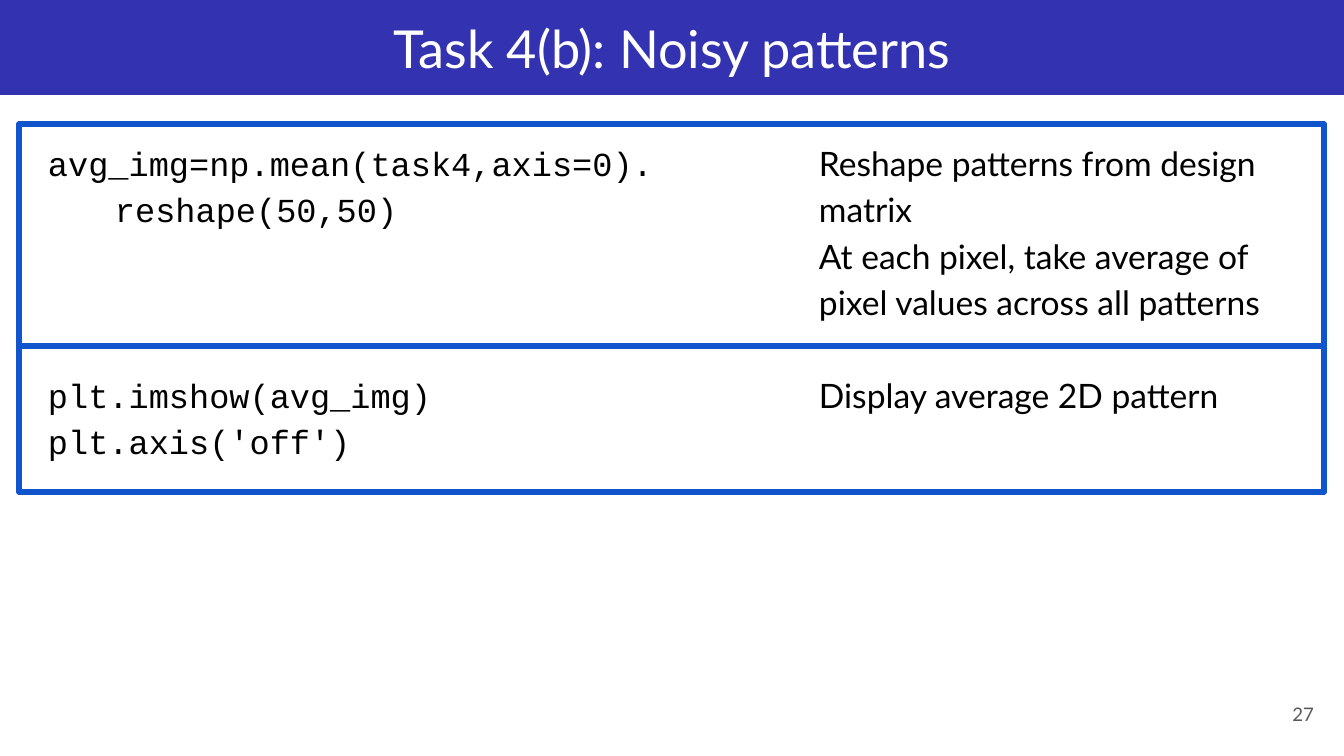
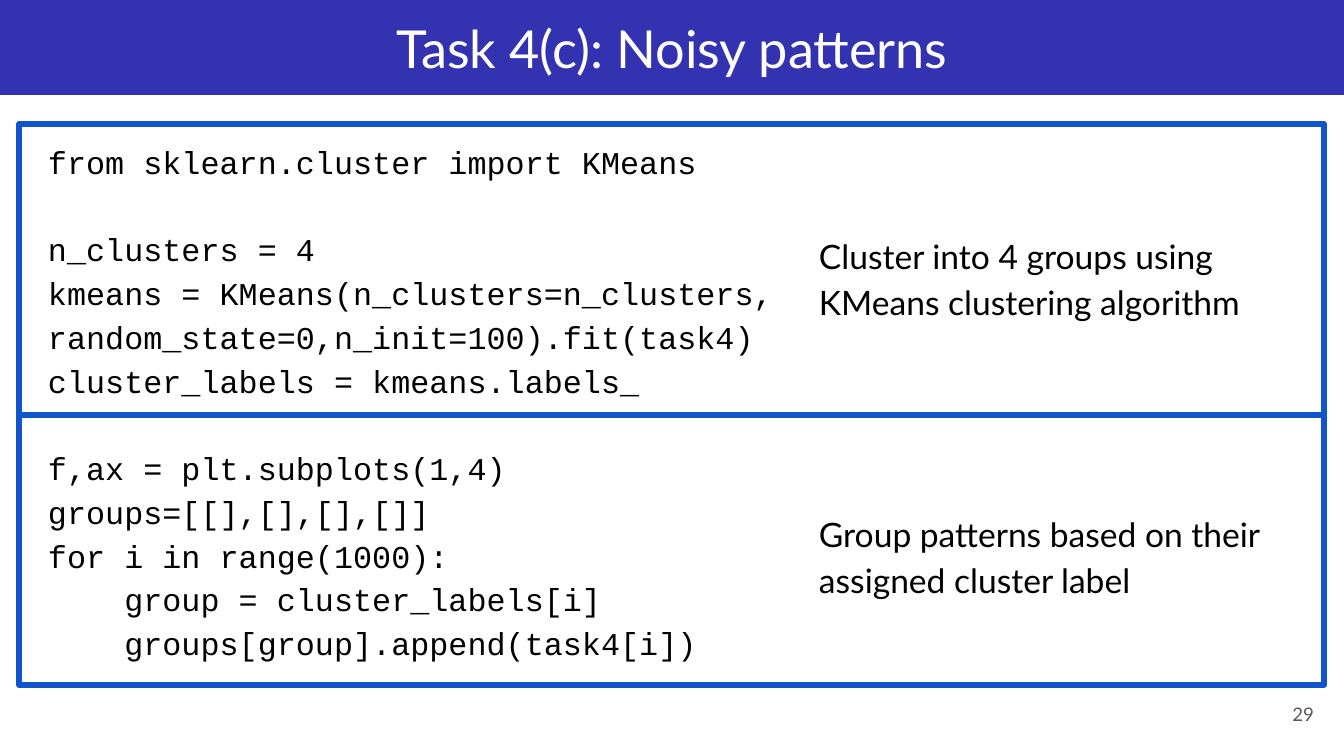
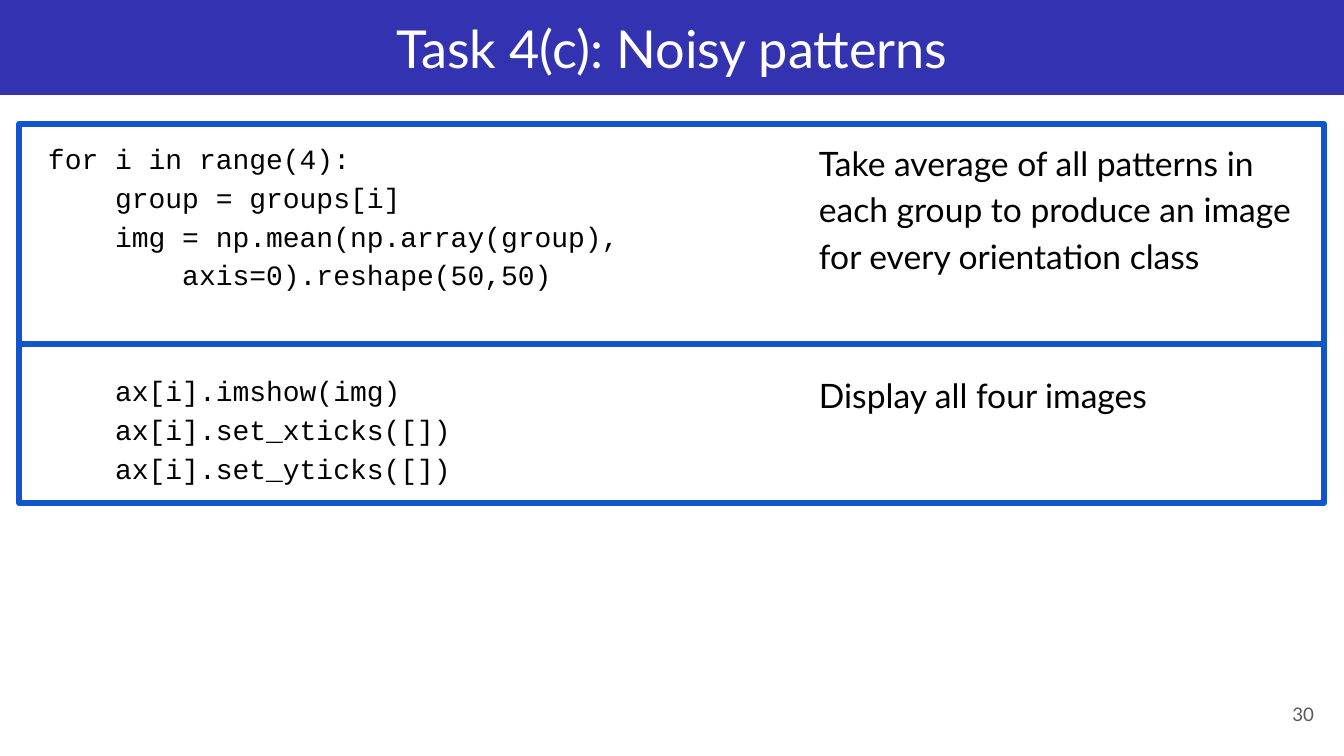
from dataclasses import dataclass

from lxml.etree import SubElement
from pptx import Presentation
from pptx.dml.color import RGBColor
from pptx.enum.shapes import MSO_SHAPE
from pptx.enum.text import MSO_ANCHOR, PP_ALIGN
from pptx.oxml.ns import qn
from pptx.util import Pt

SCALE = 914400 / 134.4
COLORS = {"band": "3333B2", "title": "FFFFFF", "frame": "1155CC",
          "body": "000000", "number": "595959"}
PROSE, CODE = "Lato", "Courier New"
INSET = 13
LEADING = 1.15
LINE_PITCH = 1.2 * LEADING

SLIDE = (1344, 756)
BAND = (0, 0, 1344, 95)
NUMBER = (1246, 685, 81, 58)
CONTENT = (19, 124, 1305, 547)
CODE_LEFT, CODE_WIDTH = 16, 771
NOTES_LEFT, NOTES_WIDTH = 787, 520
NOTES_SIZE = 18


@dataclass
class Line:
    """A paragraph, the empty lines above it and its first-line indent."""
    text: str
    gap: int = 0
    indent: int = 0


@dataclass
class Walkthrough:
    """The content of one code walkthrough slide."""
    title: str
    number: int
    code_size: int
    code: list
    notes: list
    frame_heights: tuple


WALKTHROUGHS = [
    Walkthrough(
        "Task 4(b): Noisy patterns", 27, 18,
        [Line("avg_img=np.mean(task4,axis=0)."),
         Line("reshape(50,50)", indent=67),
         Line("plt.imshow(avg_img)", gap=3),
         Line("plt.axis('off')")],
        [Line("Reshape patterns from design matrix"),
         Line("At each pixel, take average of pixel values across all patterns"),
         Line("Display average 2D pattern", gap=1)],
        (222, 146)),
    Walkthrough(
        "Task 4(c): Noisy patterns", 29, 17,
        [Line("from sklearn.cluster import KMeans"),
         Line("n_clusters = 4", gap=1),
         Line("kmeans = KMeans(n_clusters=n_clusters, "
              "random_state=0,n_init=100).fit(task4)"),
         Line("cluster_labels = kmeans.labels_"),
         Line("f,ax = plt.subplots(1,4)", gap=1),
         Line("groups=[[],[],[],[]]"),
         Line("for i in range(1000):"),
         Line("    group = cluster_labels[i]"),
         Line("    groups[group].append(task4[i])")],
        [Line("Cluster into 4 groups using KMeans clustering algorithm", gap=2),
         Line("Group patterns based on their assigned cluster label", gap=4)],
        (291, 270)),
    Walkthrough(
        "Task 4(c): Noisy patterns", 30, 15,
        [Line("for i in range(4):"),
         Line("    group = groups[i]"),
         Line("    img = np.mean(np.array(group),"),
         Line("        axis=0).reshape(50,50)"),
         Line("    ax[i].imshow(img)", gap=2),
         Line("    ax[i].set_xticks([])"),
         Line("    ax[i].set_yticks([])")],
        [Line("Take average of all patterns in each group to produce an image "
              "for every orientation class"),
         Line("Display all four images", gap=2)],
        (220, 159)),
]


def px(length):
    """Turn px into EMU."""
    return round(length * SCALE)


def color(name):
    """Look up a named colour."""
    return RGBColor.from_string(COLORS[name])


def style(paragraph, face, size, shade):
    """Set the font of a whole paragraph."""
    font = paragraph.font
    font.name, font.size = face, Pt(size)
    font.color.rgb = color(shade)


def prepare(shape, anchor):
    """Give a shape wrapped text with equal insets and return its frame."""
    frame = shape.text_frame
    frame.word_wrap = True
    frame.vertical_anchor = anchor
    frame.margin_left = frame.margin_right = px(INSET)
    frame.margin_top = frame.margin_bottom = px(INSET)
    return frame


def add_label(shape, text, align, size, shade):
    """Write a single, vertically centred line into a shape."""
    paragraph = prepare(shape, MSO_ANCHOR.MIDDLE).paragraphs[0]
    paragraph.text = text
    paragraph.alignment = align
    style(paragraph, PROSE, size, shade)


def add_rectangle(slide, box):
    """Add a rectangle without a shadow."""
    rectangle = slide.shapes.add_shape(MSO_SHAPE.RECTANGLE, *map(px, box))
    rectangle.shadow.inherit = False
    return rectangle


def add_title_band(slide, box, title):
    """Add the coloured band with the slide title."""
    band = add_rectangle(slide, box)
    band.fill.solid()
    band.fill.fore_color.rgb = color("band")
    band.line.fill.background()
    add_label(band, title, PP_ALIGN.CENTER, 28, "title")


def add_page_number(slide, box, number):
    """Add the page number in the corner."""
    corner = slide.shapes.add_textbox(*map(px, box))
    add_label(corner, str(number), PP_ALIGN.RIGHT, 10, "number")


def add_column(slide, box, lines, face, size):
    """Add a column of paragraphs, with gaps counted in lines."""
    column = slide.shapes.add_textbox(*map(px, box))
    frame = prepare(column, MSO_ANCHOR.TOP)
    for index, line in enumerate(lines):
        paragraph = frame.paragraphs[0] if index == 0 else frame.add_paragraph()
        paragraph.text = line.text
        paragraph.line_spacing = LEADING
        gap = Pt(line.gap * size * LINE_PITCH)
        if index == 0:
            frame.margin_top += gap
        elif gap:
            paragraph.space_before = gap
        if line.indent:
            paragraph._p.get_or_add_pPr().set("indent", str(px(line.indent)))
        style(paragraph, face, size, "body")


def add_step_frames(slide, box, heights):
    """Stack one outlined frame per step from the top of the box."""
    left, top, width, _ = box
    for height in heights:
        step = add_rectangle(slide, (left, top, width, height))
        step.fill.background()
        step.line.color.rgb = color("frame")
        step.line.width = Pt(3)
        SubElement(step.element.spPr.find(qn("a:ln")), qn("a:round"))
        top += height


def add_walkthrough(slide, box, content):
    """Place code on the left, notes on the right and frames around steps."""
    left, top, _, height = box
    add_column(slide, (left + CODE_LEFT, top, CODE_WIDTH, height),
               content.code, CODE, content.code_size)
    add_column(slide, (left + NOTES_LEFT, top, NOTES_WIDTH, height),
               content.notes, PROSE, NOTES_SIZE)
    add_step_frames(slide, box, content.frame_heights)


def main():
    """Build and save the presentation."""
    deck = Presentation()
    deck.slide_width, deck.slide_height = map(px, SLIDE)
    for content in WALKTHROUGHS:
        slide = deck.slides.add_slide(deck.slide_layouts[6])
        add_title_band(slide, BAND, content.title)
        add_page_number(slide, NUMBER, content.number)
        add_walkthrough(slide, CONTENT, content)
    deck.save("out.pptx")


if __name__ == "__main__":
    main()
